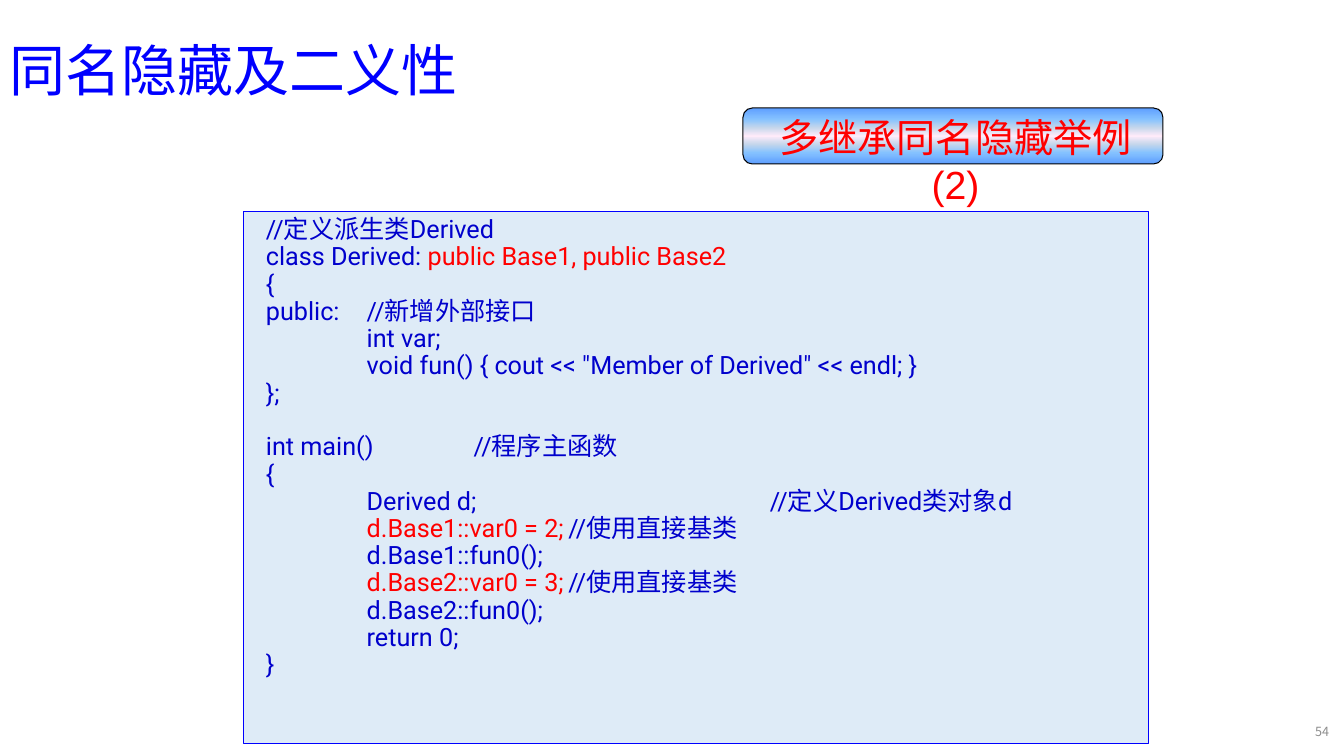
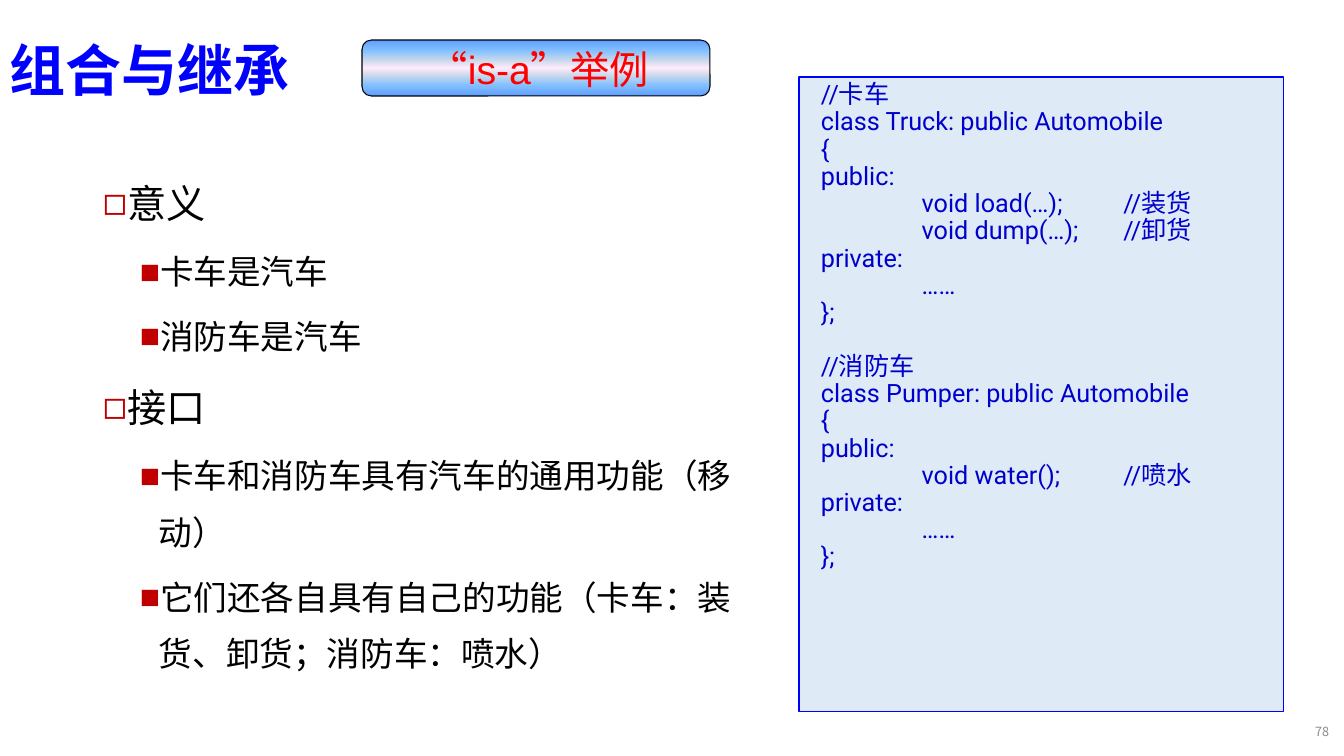
from lxml import etree
from pptx import Presentation
from pptx.dml.color import RGBColor
from pptx.enum.shapes import MSO_SHAPE
from pptx.enum.text import MSO_ANCHOR, PP_ALIGN
from pptx.oxml.ns import qn
from pptx.util import Emu, Pt

RECTANGLE, ROUNDED = MSO_SHAPE.RECTANGLE, MSO_SHAPE.ROUNDED_RECTANGLE
TOP, MIDDLE = MSO_ANCHOR.TOP, MSO_ANCHOR.MIDDLE
LEFT, CENTER, RIGHT = PP_ALIGN.LEFT, PP_ALIGN.CENTER, PP_ALIGN.RIGHT

BLUE = RGBColor(0x00, 0x00, 0xFF)
CODE_BLUE = RGBColor(0x00, 0x00, 0xCC)
PALE_BLUE = RGBColor(0xDE, 0xEB, 0xF7)
RED = RGBColor(0xFF, 0x00, 0x00)
DARK_RED = RGBColor(0xC0, 0x00, 0x00)
BLACK = RGBColor(0x00, 0x00, 0x00)
GRAY = RGBColor(0x8C, 0x8C, 0x8C)
PILL_STOPS = [(0, "5E9EFF"), (20, "85C2FF"), (35, "C4D6EB"), (50, "FFEBFA"),
              (65, "C4D6EB"), (80, "85C2FF"), (100, "5E9EFF")]

CJK, LABEL_FONT, CODE_FONT = "Noto Sans CJK SC", "Arial", "Roboto"
EMU_PER_PIXEL = 914400 / 100.8

# Content: a code line given as a tuple alternates plain and red parts;
# each listing is a list of blocks set apart by one line.
DERIVED_CODE = [
    ["//定义派生类Derived",
     ("class Derived: ", "public Base1, public Base2"),
     "{",
     "public:\t//新增外部接口",
     "\tint var;",
     "\tvoid fun() { cout << \"Member of Derived\" << endl; }",
     "};"],
    ["int main() \t //程序主函数",
     "{",
     "\tDerived d;\t\t\t//定义Derived类对象d",
     ("\t", "d.Base1::var0 = 2;", "\t//使用直接基类"),
     "\td.Base1::fun0();",
     ("\t", "d.Base2::var0 = 3;", "\t//使用直接基类"),
     "\td.Base2::fun0();",
     "\treturn 0;",
     "}"],
]
VEHICLE_CODE = [
    ["//卡车",
     "class Truck: public Automobile",
     "{",
     "public:",
     "\tvoid load(…);\t//装货",
     "\tvoid dump(…);\t//卸货",
     "private:",
     "\t……",
     "};"],
    ["//消防车",
     "class Pumper: public Automobile",
     "{",
     "public:",
     "\tvoid water();\t//喷水",
     "private:",
     "\t……",
     "};"],
]
VEHICLE_POINTS = [
    (0, "意义"),
    (1, "卡车是汽车"),
    (1, "消防车是汽车"),
    (0, "接口"),
    (1, "卡车和消防车具有汽车的通用功能（移动）"),
    (1, "它们还各自具有自己的功能（卡车：装货、卸货；消防车：喷水）"),
]
SLIDES = [
    dict(title="同名隐藏及二义性", bold=False, number="54",
         label="多继承同名隐藏举例(2)", pill=(743, 108, 420, 56),
         code=DERIVED_CODE, code_box=(244, 212, 905, 532), points=[]),
    dict(title="组合与继承", bold=True, number="78",
         label="“is-a”举例", pill=(362, 40, 348, 56),
         code=VEHICLE_CODE, code_box=(799, 77, 485, 635), points=VEHICLE_POINTS),
]
TITLE_BOX = (0, 0, 1159, 146)
NUMBER_BOX = (1299, 712, 40, 40)
POINTS_BOX = (93, 156, 675, 525)
# Per level: bullet, left margin, text size
POINT_LEVELS = [("◻", 19, 28), ("■", 56, 24)]
POINT_HANG = 19
CODE_INDENT = 12
CODE_TAB = 100.8
CODE_BLOCK_GAP = 19


def px(length):
    return Emu(round(length * EMU_PER_PIXEL))


def add_box(slide, box, anchor=TOP):
    text_box = slide.shapes.add_textbox(*map(px, box))
    text_box.text_frame.word_wrap = True
    text_box.text_frame.vertical_anchor = anchor
    return text_box.text_frame


def add_panel(slide, kind, box, line_color):
    panel = slide.shapes.add_shape(kind, *map(px, box))
    panel.shadow.inherit = False
    panel.line.color.rgb = line_color
    panel.line.width = Pt(0.75)
    return panel


def next_paragraph(frame):
    first = frame.paragraphs[0]
    return first if not first.runs else frame.add_paragraph()


def write(frame, parts, name, size, color, align=LEFT, spacing=1.0, bold=False):
    paragraph = next_paragraph(frame)
    paragraph.alignment = align
    paragraph.line_spacing = spacing
    font = paragraph.font
    font.name, font.size, font.bold = name, Pt(size), bold
    font.color.rgb = color
    latin = paragraph._p.pPr.find(qn("a:defRPr")).find(qn("a:latin"))
    latin.addnext(latin.makeelement(qn("a:ea"), {"typeface": CJK}))
    for index, part in enumerate([parts] if isinstance(parts, str) else parts):
        run = paragraph.add_run()
        run.text = part
        if index % 2:
            run.font.color.rgb = RED
    return paragraph


def indent(paragraph, margin, first_line=0):
    properties = paragraph._p.get_or_add_pPr()
    properties.set("marL", str(px(margin)))
    properties.set("indent", str(px(first_line)))


def add_bullet(paragraph, character):
    defaults = paragraph._p.pPr.find(qn("a:defRPr"))
    color = etree.Element(qn("a:buClr"))
    etree.SubElement(color, qn("a:srgbClr"), val=str(DARK_RED))
    defaults.addprevious(color)
    defaults.addprevious(etree.Element(qn("a:buFont"), typeface=LABEL_FONT))
    defaults.addprevious(etree.Element(qn("a:buChar"), char=character))


def add_pill(slide, box, label):
    pill = add_panel(slide, ROUNDED, box, BLACK)
    pill.fill.gradient()
    pill.fill.gradient_angle = 270
    stops = pill._element.spPr.find(qn("a:gradFill")).find(qn("a:gsLst"))
    for stop in list(stops):
        stops.remove(stop)
    for percent, color in PILL_STOPS:
        stop = etree.SubElement(stops, qn("a:gs"), pos=str(percent * 1000))
        etree.SubElement(stop, qn("a:srgbClr"), val=color)
    left, top, width, height = box
    frame = add_box(slide, (left + 4, top, width - 3, height - 11))
    write(frame, label, LABEL_FONT, 28, RED, align=CENTER)


def add_code(slide, box, blocks):
    panel = add_panel(slide, RECTANGLE, box, BLUE)
    panel.fill.solid()
    panel.fill.fore_color.rgb = PALE_BLUE
    frame = panel.text_frame
    frame.word_wrap = True
    frame.vertical_anchor = TOP
    for block_index, block in enumerate(blocks):
        for line_index, line in enumerate(block):
            paragraph = write(frame, line, CODE_FONT, 18, CODE_BLUE, spacing=0.9)
            indent(paragraph, CODE_INDENT)
            paragraph._p.pPr.set("defTabSz", str(px(CODE_TAB)))
            if block_index and not line_index:
                paragraph.space_before = Pt(CODE_BLOCK_GAP)


def add_points(slide, points):
    frame = add_box(slide, POINTS_BOX)
    for level, text in points:
        bullet, margin, size = POINT_LEVELS[level]
        paragraph = write(frame, text, LABEL_FONT, size, BLACK, spacing=1.4)
        paragraph.level = level
        paragraph.space_before = Pt(6)
        indent(paragraph, margin, -POINT_HANG)
        add_bullet(paragraph, bullet)


presentation = Presentation()
presentation.slide_width, presentation.slide_height = px(1344), px(756)
for content in SLIDES:
    slide = presentation.slides.add_slide(presentation.slide_layouts[6])
    add_pill(slide, content["pill"], content["label"])
    write(add_box(slide, TITLE_BOX, MIDDLE), content["title"], CJK, 40, BLUE,
          spacing=0.9, bold=content["bold"])
    if content["points"]:
        add_points(slide, content["points"])
    add_code(slide, content["code_box"], content["code"])
    write(add_box(slide, NUMBER_BOX, MIDDLE), content["number"], CJK, 9, GRAY,
          align=RIGHT)
presentation.save("out.pptx")
